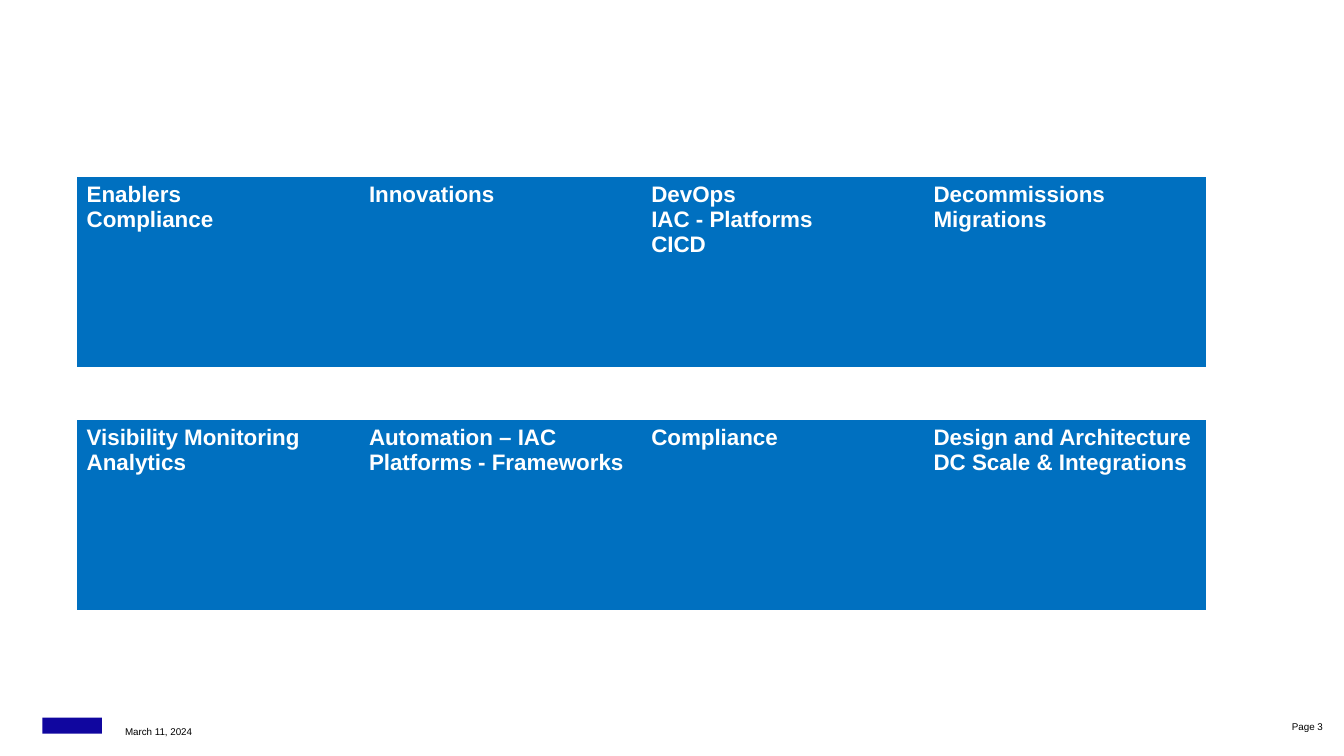
from dataclasses import dataclass

from pptx import Presentation
from pptx.dml.color import RGBColor
from pptx.enum.shapes import MSO_SHAPE
from pptx.enum.text import MSO_ANCHOR, PP_ALIGN
from pptx.oxml.ns import qn
from pptx.util import Inches, Pt


@dataclass(frozen=True)
class Theme:
    font: str = "Arial"
    panel: RGBColor = RGBColor(0x00, 0x70, 0xC0)
    panel_text: RGBColor = RGBColor(0xFF, 0xFF, 0xFF)
    footer_text: RGBColor = RGBColor(0x00, 0x00, 0x00)
    mark: RGBColor = RGBColor(0x10, 0x06, 0x9F)
    topic_size: Pt = Pt(16)
    footer_size: Pt = Pt(7)


THEME = Theme()
PLAIN_TABLE_STYLE = "{2D5ABB26-0587-4C30-8999-92F81FD0307C}"

GRID_LEFT = 0.76
COLUMN = 2.8
ROW = 0.94
FOOTER_TOP, FOOTER_HEIGHT = 7.13, 0.15

# Table top in inches, followed by the topics of its first row
TOPIC_BANDS = [
    (4.17, ["Visibility Monitoring\vAnalytics",
            "Automation – IAC\vPlatforms - Frameworks",
            "Compliance",
            "Design and Architecture\vDC Scale & Integrations"]),
    (1.76, ["Enablers\vCompliance",
            "Innovations",
            "DevOps\vIAC - Platforms\vCICD",
            "Decommissions\vMigrations"]),
]


def style_runs(paragraph, size, color, bold=False):
    for run in paragraph.runs:
        run.font.name = THEME.font
        run.font.size = size
        run.font.bold = bold
        run.font.color.rgb = color


def add_topic_band(slide, top, topics, rows=2):
    """Add a table with topics in the first row and empty cells below."""
    frame = slide.shapes.add_table(
        rows, len(topics), Inches(GRID_LEFT), Inches(top),
        Inches(COLUMN * len(topics)), Inches(ROW * rows))
    next(frame.element.iter(qn("a:tableStyleId"))).text = PLAIN_TABLE_STYLE
    band = frame.table
    for cell in band.iter_cells():
        cell.fill.solid()
        cell.fill.fore_color.rgb = THEME.panel
    for column, topic in enumerate(topics):
        paragraph = band.cell(0, column).text_frame.paragraphs[0]
        paragraph.text = topic
        paragraph.space_after = Pt(6)
        style_runs(paragraph, THEME.topic_size, THEME.panel_text, bold=True)


def add_footer(slide, left, width, text, anchor, align, top_inset=0):
    box = slide.shapes.add_textbox(Inches(left), Inches(FOOTER_TOP),
                                   Inches(width), Inches(FOOTER_HEIGHT))
    frame = box.text_frame
    frame.word_wrap = True
    frame.vertical_anchor = anchor
    frame.margin_left = frame.margin_right = frame.margin_bottom = 0
    frame.margin_top = Inches(top_inset)
    paragraph = frame.paragraphs[0]
    paragraph.text = text
    paragraph.alignment = align
    paragraph.line_spacing = 1.1
    style_runs(paragraph, THEME.footer_size, THEME.footer_text)


def add_brand_block(slide):
    block = slide.shapes.add_shape(MSO_SHAPE.RECTANGLE, Inches(0.42),
                                   Inches(7.12), Inches(0.59), Inches(0.16))
    block.shadow.inherit = False
    block.fill.solid()
    block.fill.fore_color.rgb = THEME.mark
    block.line.fill.background()


def main():
    deck = Presentation()
    deck.slide_width, deck.slide_height = Inches(13.33), Inches(7.5)
    slide = deck.slides.add_slide(deck.slide_layouts[6])
    add_brand_block(slide)
    for top, topics in TOPIC_BANDS:
        add_topic_band(slide, top, topics)
    add_footer(slide, 1.24, 1.18, "March 11, 2024", MSO_ANCHOR.BOTTOM,
               PP_ALIGN.LEFT, top_inset=0.2)
    add_footer(slide, 12.4, 0.72, "Page 3", MSO_ANCHOR.MIDDLE, PP_ALIGN.RIGHT)
    deck.save("out.pptx")


if __name__ == "__main__":
    main()
